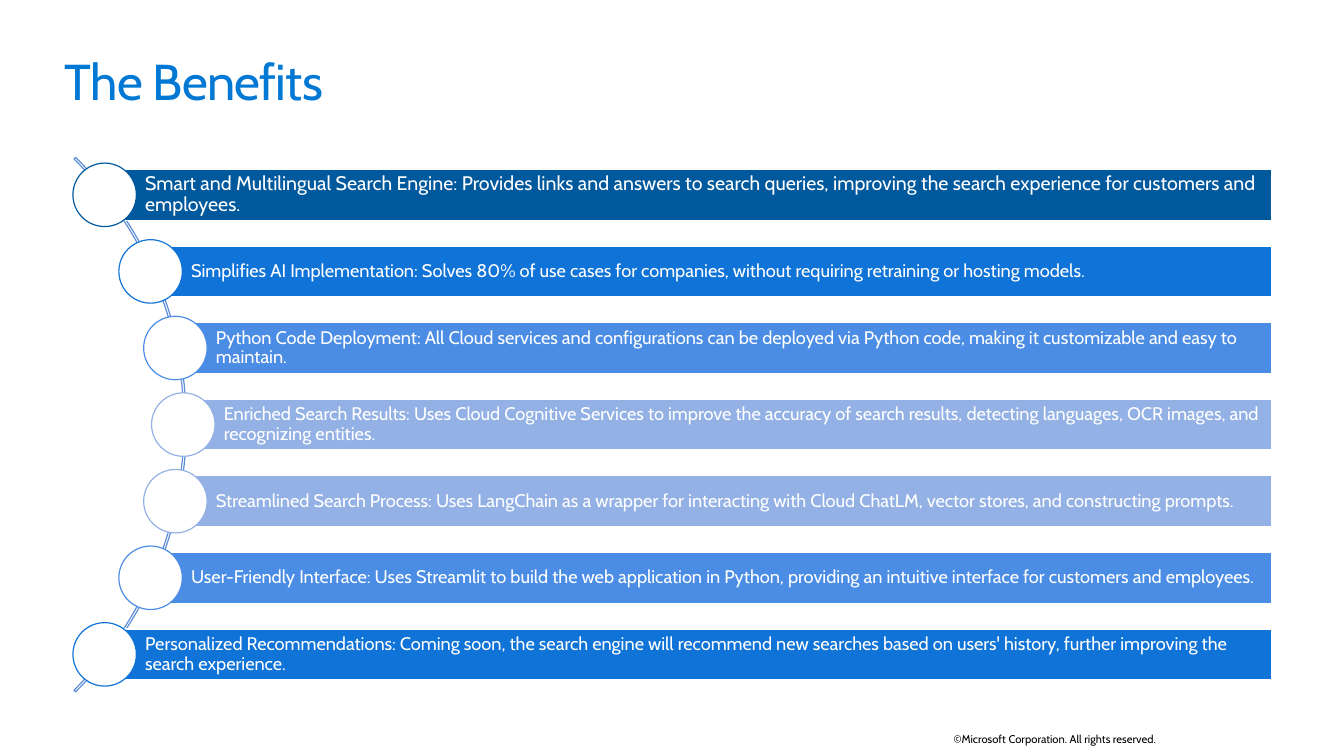
from math import sqrt

from pptx import Presentation
from pptx import util as u
from pptx.dml import color
from pptx.enum import shapes, text

BENEFITS = [
    ("00599D", 14, "Smart and Multilingual Search Engine: Provides links and answers to search queries, "
                   "improving the search experience for customers and employees."),
    ("0F73D7", 13, "Simplifies AI Implementation: Solves 80% of use cases for companies, "
                   "without requiring retraining or hosting models."),
    ("4B8DE4", 13, "Python Code Deployment: All Cloud services and configurations can be deployed via "
                   "Python code, making it customizable and easy to maintain."),
    ("93B1E5", 13, "Enriched Search Results: Uses Cloud Cognitive Services to improve the accuracy of "
                   "search results, detecting languages, OCR images, and recognizing entities."),
    ("93B1E5", 13, "Streamlined Search Process: Uses LangChain as a wrapper for interacting with "
                   "Cloud ChatLM, vector stores, and constructing prompts."),
    ("4B8DE4", 13, "User-Friendly Interface: Uses Streamlit to build the web application in Python, "
                   "providing an intuitive interface for customers and employees."),
    ("0F73D7", 13, "Personalized Recommendations: Coming soon, the search engine will recommend new "
                   "searches based on users' history, further improving the search experience."),
]
ARC_X, ARC_Y, ARC_SIZE = -4.83, 10.7, 19.05
CIRCLE_ORBIT, CIRCLE_SIZE = 9.45, 1.6
ROW_PITCH, BAR_HEIGHT, BAR_RIGHT = 1.93, 1.28, 32.04


def rgb(value):
    return color.RGBColor.from_string(value)


class BenefitsSlide:
    font_name = "Cabin"
    line_width = 0.85
    white = "FFFFFF"

    def __init__(self, deck):
        self.slide = deck.slides.add_slide(deck.slide_layouts[6])

    def set_words(self, frame, words, size, ink, insets=(0, 0, 0, 0), align=text.PP_ALIGN.LEFT, spacing=1.0):
        frame.word_wrap = True
        frame.margin_left, frame.margin_top, frame.margin_right, frame.margin_bottom = map(u.Cm, insets)
        paragraph = frame.paragraphs[0]
        paragraph.text = words
        paragraph.alignment = align
        paragraph.line_spacing = spacing
        paragraph.font.name = self.font_name
        paragraph.font.size = u.Pt(size)
        paragraph.font.color.rgb = rgb(ink)
        return paragraph

    def label(self, left, top, width, height, words, size, ink, **style):
        box = self.slide.shapes.add_textbox(*map(u.Cm, (left, top, width, height)))
        return self.set_words(box.text_frame, words, size, ink, **style)

    def outline(self, preset, left, top, width, height, line, fill=None):
        shape = self.slide.shapes.add_shape(preset, *map(u.Cm, (left, top, width, height)))
        shape.shadow.inherit = False
        if fill:
            shape.fill.solid()
            shape.fill.fore_color.rgb = rgb(fill)
        else:
            shape.fill.background()
        shape.line.color.rgb = rgb(line)
        shape.line.width = u.Pt(self.line_width)
        return shape

    def arc(self):
        half = ARC_SIZE / 2
        curve = self.outline(shapes.MSO_SHAPE.BLOCK_ARC, ARC_X - half, ARC_Y - half,
                             ARC_SIZE, ARC_SIZE, "5E8ED9")
        for index, value in enumerate((189, 27, 0.003)):
            curve.adjustments[index] = value

    def benefit(self, offset, tint, size, words):
        x = ARC_X + sqrt(CIRCLE_ORBIT ** 2 - offset ** 2)
        y = ARC_Y + offset
        bar = self.outline(shapes.MSO_SHAPE.RECTANGLE, x, y - BAR_HEIGHT / 2,
                           BAR_RIGHT - x, BAR_HEIGHT, self.white, tint)
        bar.text_frame.vertical_anchor = text.MSO_ANCHOR.MIDDLE
        self.set_words(bar.text_frame, words, size, self.white, insets=(1.02, 0.1, 0.1, 0.1), spacing=0.9)
        radius = CIRCLE_SIZE / 2
        self.outline(shapes.MSO_SHAPE.OVAL, x - radius, y - radius,
                     CIRCLE_SIZE, CIRCLE_SIZE, tint, self.white)


def main():
    deck = Presentation()
    deck.slide_width, deck.slide_height = u.Cm(33.87), u.Cm(19.05)
    page = BenefitsSlide(deck)
    page.label(23.55, 18.49, 5.59, 0.3, "©Microsoft Corporation. All rights reserved.", 8, "000000",
               align=text.PP_ALIGN.RIGHT, spacing=0.9)
    title = page.label(1.63, 1.27, 30.6, 1.55, "The Benefits", 36, "0078D4")
    title.runs[0]._r.get_or_add_rPr().set("spc", "-50")
    page.arc()
    middle = (len(BENEFITS) - 1) / 2
    for row, (tint, size, words) in enumerate(BENEFITS):
        page.benefit((row - middle) * ROW_PITCH, tint, size, words)
    deck.save("out.pptx")


if __name__ == "__main__":
    main()
